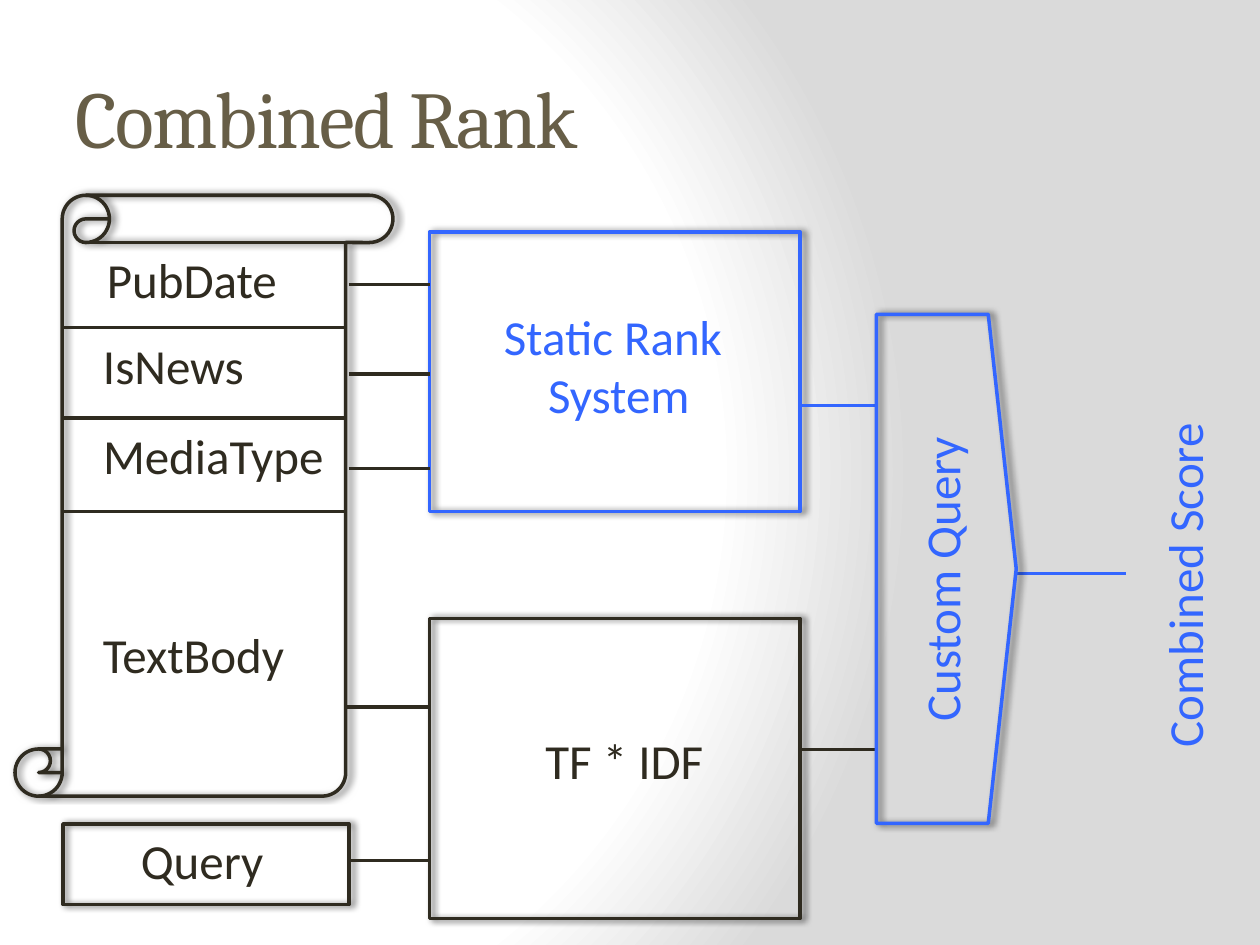
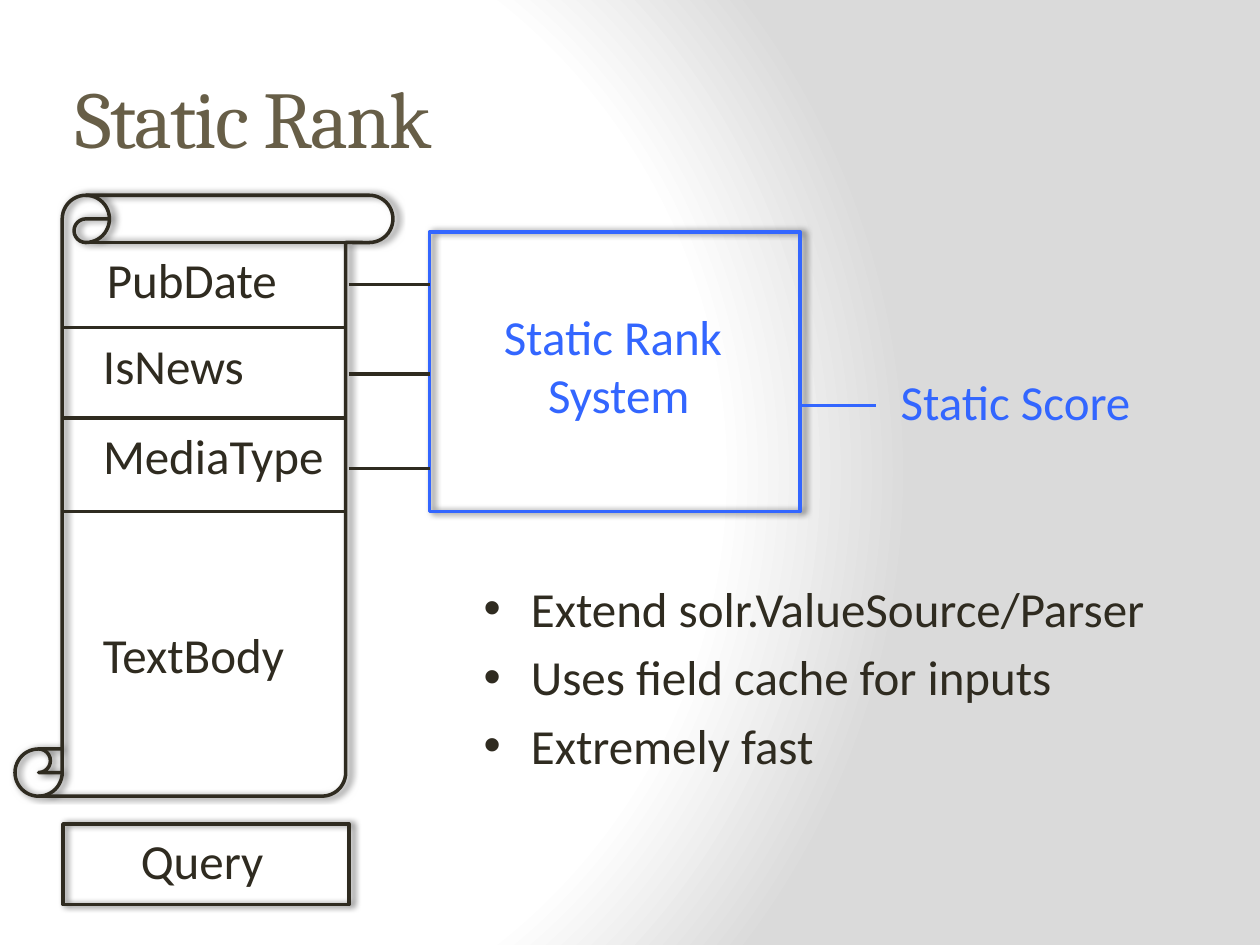
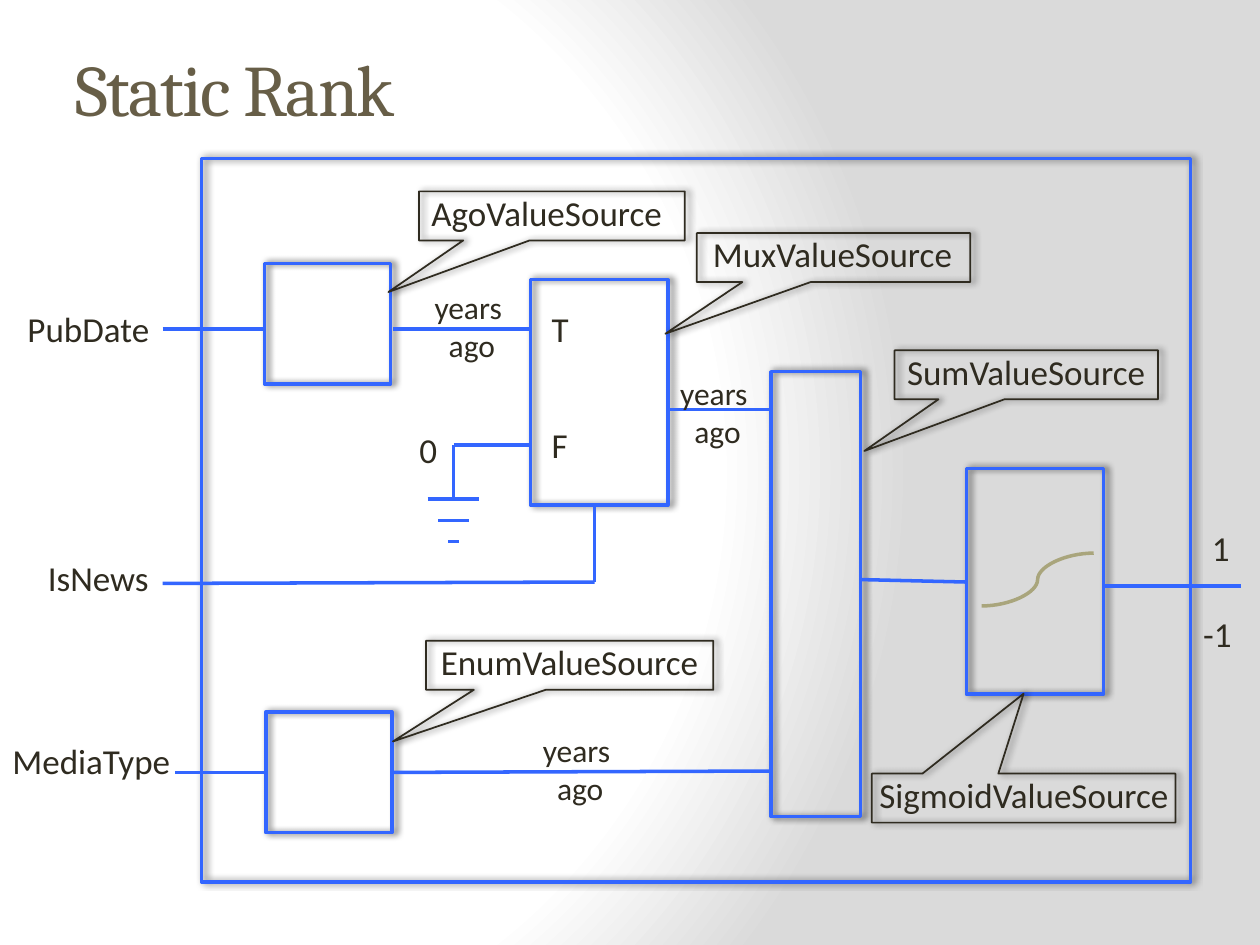
from dataclasses import dataclass

from lxml import etree
from pptx import Presentation
from pptx.dml.color import RGBColor
from pptx.enum import shapes, text
from pptx.oxml import parse_xml
from pptx.oxml.ns import nsdecls, qn
from pptx.util import Pt

COLOURS = {
    "title": "675E47",
    "ink": "2F2B20",
    "accent": "3366FF",
    "curve": "A9A57C",
    "shadow": "000000",
    "light": "FFFFFF",
    "shade": "DADADA",
}
TITLE_FONT = "Cambria"
BODY_FONT = "Calibri"
SHAPE = shapes.MSO_SHAPE
CONNECTOR = shapes.MSO_CONNECTOR


@dataclass(frozen=True)
class Box:
    left: float
    top: float
    width: float
    height: float
    colour: str = "accent"
    kind: shapes.MSO_SHAPE = SHAPE.RECTANGLE
    weight: float = 2
    rotation: float = 0
    adjustments: tuple[float, ...] = ()


@dataclass(frozen=True)
class Line:
    x1: float
    y1: float
    x2: float
    y2: float
    colour: str = "accent"
    kind: shapes.MSO_CONNECTOR = CONNECTOR.STRAIGHT


@dataclass(frozen=True)
class Label:
    words: str
    left: float
    top: float
    width: float
    height: float = 41
    size: float = 28
    colour: str = "ink"
    font: str = BODY_FONT
    rotation: float = 0
    wrap: bool = False
    second_indent: float = 0


@dataclass(frozen=True)
class Callout:
    words: str
    left: float
    top: float
    width: float
    label_left: float
    label_width: float
    tip: tuple[float, float] = (-0.615, 1.554)


def rgb(name: str) -> RGBColor:
    return RGBColor.from_string(COLOURS[name])


def paint_background(page) -> None:
    stops = "".join(
        f'<a:gs pos="{place * 1000}"><a:srgbClr val="{COLOURS[name]}"/></a:gs>'
        for place, name in ((0, "light"), (75, "light"), (100, "shade"))
    )
    background = parse_xml(
        f'<p:bg {nsdecls("p", "a")}><p:bgPr><a:gradFill rotWithShape="1">'
        f'<a:gsLst>{stops}</a:gsLst><a:path path="circle">'
        '<a:fillToRect l="20000" t="50000" r="100000" b="50000"/></a:path>'
        '</a:gradFill><a:effectLst/></p:bgPr></p:bg>'
    )
    page._element.cSld.insert(0, background)


def draw_box(page, item: Box) -> None:
    box = page.shapes.add_shape(
        item.kind, Pt(item.left), Pt(item.top), Pt(item.width), Pt(item.height)
    )
    for index, value in enumerate(item.adjustments):
        box.adjustments[index] = value
    box.rotation = item.rotation
    box.fill.background()
    box.line.color.rgb = rgb(item.colour)
    box.line.width = Pt(item.weight)
    box.shadow.inherit = False
    effects = box._element.spPr.find(qn("a:effectLst"))
    shadow = etree.SubElement(
        effects, qn("a:outerShdw"),
        blurRad=str(Pt(4)), dist=str(Pt(2)), dir="0", rotWithShape="0",
    )
    tint = etree.SubElement(shadow, qn("a:srgbClr"), val=COLOURS["shadow"])
    etree.SubElement(tint, qn("a:alpha"), val="60000")


def draw_line(page, item: Line) -> None:
    line = page.shapes.add_connector(
        item.kind, Pt(item.x1), Pt(item.y1), Pt(item.x2), Pt(item.y2)
    )
    line.line.color.rgb = rgb(item.colour)
    line.line.width = Pt(2)
    etree.SubElement(line._element.spPr, qn("a:effectLst"))


def draw_label(page, item: Label):
    box = page.shapes.add_textbox(
        Pt(item.left), Pt(item.top), Pt(item.width), Pt(item.height)
    )
    box.rotation = item.rotation
    frame = box.text_frame
    frame.text = item.words
    frame.word_wrap = item.wrap
    if not item.wrap:
        frame.auto_size = text.MSO_AUTO_SIZE.SHAPE_TO_FIT_TEXT
    for para in frame.paragraphs:
        for span in para.runs:
            span.font.name = item.font
            span.font.size = Pt(item.size)
            span.font.color.rgb = rgb(item.colour)
    for para in frame.paragraphs[1:]:
        if item.second_indent:
            para._p.get_or_add_pPr().set("marL", str(Pt(item.second_indent)))
    return box


def draw_all(page, items: list[Box | Line | Label]) -> None:
    painters = {Box: draw_box, Line: draw_line, Label: draw_label}
    for item in items:
        painters[type(item)](page, item)


def draw_callout(page, item: Callout) -> None:
    draw_box(page, Box(item.left, item.top, item.width, 28, "ink",
                       SHAPE.RECTANGULAR_CALLOUT, 1, adjustments=item.tip))
    draw_label(page, Label(item.words, item.label_left, item.top - 3.7,
                           item.label_width, 31.5, 20, wrap=True))


def draw_bullets(page, lines: list[str]) -> None:
    box = draw_label(
        page, Label("\n".join(lines), 269.3, 326.9, 427, 185, wrap=True)
    )
    for para in box.text_frame.paragraphs:
        para.space_before = Pt(5.6)
        properties = para._p.get_or_add_pPr()
        properties.set("marL", str(Pt(27)))
        properties.set("indent", str(Pt(-27)))
        etree.SubElement(properties, qn("a:buFont"), typeface="Arial")
        etree.SubElement(properties, qn("a:buChar"), char="•")


def add_page(deck, title: str, size: float = 46, width: float = 656.6,
             height: float = 90):
    page = deck.slides.add_slide(deck.slide_layouts[6])
    paint_background(page)
    box = draw_label(page, Label(title, 36, 21.6, width, height, size, "title",
                                 TITLE_FONT, wrap=True))
    box.text_frame.vertical_anchor = text.MSO_ANCHOR.MIDDLE
    for span in box.text_frame.paragraphs[0].runs:
        span._r.get_or_add_rPr().set("spc", "-100")
    return page


def draw_static_rank_inputs(page) -> None:
    fields = [
        Label("PubDate", 54, 139, 113),
        Label("IsNews", 51.8, 187.9, 96.5),
        Label("MediaType", 51.8, 239.8, 143.3),
        Label("TextBody", 51.8, 353.5, 122.4),
    ]
    dividers = [Line(36, y, 196.6, y, "ink") for y in (187.2, 239, 292.3)]
    inputs = [Line(199.4, y, 245.5, y, "ink") for y in (162.7, 213.8, 267.8)]
    draw_all(page, [
        Box(8.6, 111.6, 216, 343.4, "ink", SHAPE.VERTICAL_SCROLL),
        *dividers,
        Box(245.5, 132.5, 211.7, 159.8),
        *fields,
        Line(457.2, 231.8, 500.4, 231.8),
        Box(36, 470.9, 163.4, 46.1, "ink"),
        Label("Query", 73.4, 470.9, 85),
        *inputs,
        Label("Static Rank\nSystem", 280.8, 171.4, 141.1, 74.9,
              colour="accent", second_indent=25.3),
    ])


def build_combined_rank(deck) -> None:
    page = add_page(deck, "Combined Rank")
    draw_static_rank_inputs(page)
    draw_all(page, [
        Box(245.5, 353.5, 211.7, 171.4, "ink"),
        Label("TF * IDF", 304.6, 414, 105.8),
        Line(196.6, 403.9, 245.5, 403.9, "ink"),
        Line(199.4, 491.8, 245.5, 491.8, "ink"),
        Line(457.2, 428.4, 500.4, 428.4, "ink"),
        Line(581, 327.6, 643.7, 327.6),
        Box(395.3, 285.1, 290.9, 79.9, kind=SHAPE.FLOWCHART_OFFPAGE_CONNECTOR,
            rotation=270),
        Label("Custom Query", 447.8, 308.9, 180, colour="accent", rotation=270),
        Label("Combined Score", 575.3, 312.5, 202.3, colour="accent",
              rotation=270),
    ])


def build_static_rank(deck) -> None:
    page = add_page(deck, "Static Rank")
    draw_static_rank_inputs(page)
    draw_label(page, Label("Static Score", 507.6, 208.8, 148.3,
                           colour="accent"))
    draw_bullets(page, [
        "Extend solr.ValueSource/Parser",
        "Uses field cache for inputs",
        "Extremely fast",
    ])


def build_value_sources(deck) -> None:
    page = add_page(deck, "Static Rank", 41.4, 648, 56.9)
    frame = Box(115.2, 90.7, 565.2, 413.3)
    ago = Box(151.2, 150.5, 72, 69)
    enum = Box(151.9, 406.8, 72, 69)
    mux = Box(303.1, 159.8, 78.5, 128.9)
    total = Box(440.6, 212.4, 51.1, 254.2)
    sigmoid = Box(552.2, 267.8, 78.5, 128.9)
    ground = [
        Line(259.2 - half, 285.1 + 12.2 * row, 259.2 + half, 285.1 + 12.2 * row)
        for row, half in enumerate((14.8, 8.8, 2.9))
    ]
    wires = [
        Line(259.2, 254.2, 303.1, 254.2),
        Line(259.2, 285.1, 259.2, 254.2),
        Line(92.9, 333.4, 339.8, 332.6),
        Line(339.8, 332.6, 339.8, 288.7),
        Line(92.9, 187.9, 151.2, 187.9),
        Line(224.6, 187.9, 303.1, 187.9),
        Line(381.6, 234, 439.9, 234),
        Line(100.1, 441.4, 151.9, 441.4),
        Line(223.9, 441.4, 440.6, 440.6),
        Line(492.5, 331.2, 552.2, 332.6),
        Line(630.7, 334.8, 709.2, 334.8),
        Line(560.9, 346.3, 625, 316.1, "curve", CONNECTOR.CURVE),
    ]
    labels = [
        Label(words, left, top, width, 31.5, 20)
        for words, left, top, width in (
            ("PubDate", 8.6, 172.1, 85),
            ("IsNews", 20.2, 314.6, 72.7),
            ("MediaType", 0, 419, 106.6),
            ("0", 232.6, 241.2, 24.5),
            ("T", 308.2, 172.1, 24.5),
            ("F", 308.2, 238.3, 23.8),
            ("-1", 680.4, 346.3, 31),
            ("1", 685.4, 297.4, 24.5),
        )
    ]
    years = [
        Label("years\nago", left, top, 54, 51, 18, second_indent=8.1)
        for left, top in ((381.6, 210.2), (241.2, 161.3), (303.1, 414))
    ]
    draw_all(page, [frame, ago, enum, mux, total, sigmoid,
                    *ground, *wires, *labels, *years])
    for callout in (
        Callout("SumValueSource", 511.2, 200.2, 150.5, 511.2, 154.8),
        Callout("EnumValueSource", 243.4, 366.2, 164.2, 244.8, 167.8),
        Callout("MuxValueSource", 398.2, 133.2, 156.2, 400.3, 154.1),
        Callout("AgoValueSource", 239.4, 109.4, 151.9, 239.4, 156.2),
        Callout("SigmoidValueSource", 498.2, 442.1, 173.5, 495.4, 185,
                (0, -2.132)),
    ):
        draw_callout(page, callout)


def main() -> None:
    deck = Presentation()
    deck.slide_width = Pt(720)
    deck.slide_height = Pt(540)
    build_combined_rank(deck)
    build_static_rank(deck)
    build_value_sources(deck)
    deck.save("out.pptx")


if __name__ == "__main__":
    main()
